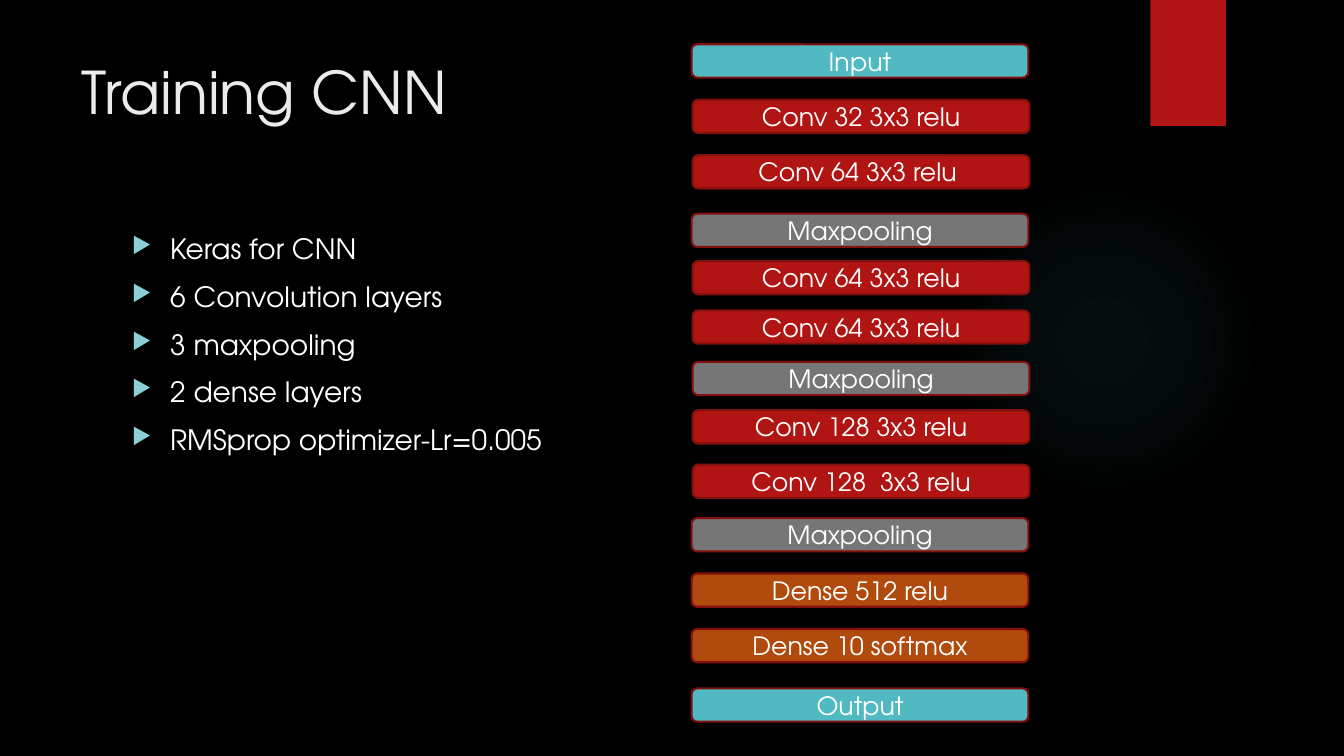
from lxml.etree import SubElement
from pptx import Presentation
from pptx.dml.color import RGBColor
from pptx.enum.shapes import MSO_SHAPE
from pptx.enum.text import MSO_ANCHOR, PP_ALIGN
from pptx.oxml import parse_xml
from pptx.oxml.ns import nsdecls, qn
from pptx.util import Inches, Pt

FONT = "TeX Gyre Adventor"
COLORS = {
    "background": "000000",
    "title": "EBEBEB",
    "text": "FFFFFF",
    "bullet": "8AD0D6",
    "teal": "50B9C1",
    "red": "B01513",
    "gray": "767676",
    "orange": "B04A0D",
    "outline": "82100E",
}
BULLETS = [
    "Keras for CNN",
    "6 Convolution layers",
    "3 maxpooling",
    "2 dense layers",
    "RMSprop optimizer-Lr=0.005",
]
LAYERS = [
    ("Input", "teal", 6.86, 0.44),
    ("Conv 32 3x3 relu", "red", 6.87, 0.99),
    ("Conv 64 3x3 relu ", "red", 6.87, 1.54),
    ("Maxpooling", "gray", 6.86, 2.12),
    ("Conv 64 3x3 relu", "red", 6.87, 2.59),
    ("Conv 64 3x3 relu", "red", 6.87, 3.08),
    ("Maxpooling", "gray", 6.87, 3.59),
    ("Conv 128 3x3 relu", "red", 6.87, 4.07),
    ("Conv 128  3x3 relu", "red", 6.87, 4.61),
    ("Maxpooling", "gray", 6.86, 5.14),
    ("Dense 512 relu", "orange", 6.86, 5.69),
    ("Dense 10 softmax", "orange", 6.86, 6.24),
    ("Output", "teal", 6.86, 6.83),
]
GLOW_STOPS = [(0, 7), (36, 6), (69, 0)]


class SlideBuilder:
    def __init__(self, slide):
        self.s = slide
        fill = slide.background.fill
        fill.solid()
        fill.fore_color.rgb = self.color("background")

    def color(self, name):
        return RGBColor.from_string(COLORS[name])

    def style(self, p, size, color):
        for r in p.runs:
            r.font.name = FONT
            r.font.size = Pt(size)
            r.font.color.rgb = self.color(color)

    def shape(self, kind, x, y, w, h, color):
        sp = self.s.shapes.add_shape(kind, Inches(x), Inches(y), Inches(w), Inches(h))
        sp.shadow.inherit = False
        sp.fill.solid()
        sp.fill.fore_color.rgb = self.color(color)
        sp.line.fill.background()
        return sp

    def glow(self, x, y, size, color):
        sp = self.shape(MSO_SHAPE.OVAL, x, y, size, size, color)
        stops = "".join(
            f'<a:gs pos="{pos * 1000}"><a:srgbClr val="{COLORS[color]}">'
            f'<a:alpha val="{alpha * 1000}"/></a:srgbClr></a:gs>'
            for pos, alpha in GLOW_STOPS
        )
        grad = parse_xml(
            f'<a:gradFill {nsdecls("a")}><a:gsLst>{stops}</a:gsLst><a:path path="circle">'
            '<a:fillToRect l="50000" t="50000" r="50000" b="50000"/></a:path></a:gradFill>'
        )
        spPr = sp.element.spPr
        spPr.replace(spPr.find(qn("a:solidFill")), grad)

    def layer(self, text, color, x, y):
        sp = self.shape(MSO_SHAPE.ROUNDED_RECTANGLE, x, y, 3.34, 0.33, color)
        sp.line.color.rgb = self.color("outline")
        sp.line.width = Pt(1.5)
        tf = sp.text_frame
        tf.text = text
        tf.vertical_anchor = MSO_ANCHOR.MIDDLE
        p = tf.paragraphs[0]
        p.alignment = PP_ALIGN.CENTER
        self.style(p, 18, "text")

    def text(self, text, x, y, w, h, size, color):
        tf = self.s.shapes.add_textbox(Inches(x), Inches(y), Inches(w), Inches(h)).text_frame
        tf.word_wrap = True
        tf.text = text
        for p in tf.paragraphs:
            self.style(p, size, color)
        return tf

    def bullets(self, items, x, y, w, h):
        tf = self.text("\n".join(items), x, y, w, h, 20, "text")
        for p in tf.paragraphs:
            p.space_before = Pt(10)
            pPr = p._p.get_or_add_pPr()
            pPr.set("marL", str(Inches(0.38)))
            pPr.set("indent", str(-Inches(0.38)))
            clr = SubElement(pPr, qn("a:buClr"))
            SubElement(clr, qn("a:srgbClr"), val=COLORS["bullet"])
            SubElement(pPr, qn("a:buSzPct"), val="80000")
            SubElement(pPr, qn("a:buChar"), char="▶")


def main():
    prs = Presentation()
    prs.slide_width = Inches(13.33)
    prs.slide_height = Inches(7.5)
    b = SlideBuilder(prs.slides.add_slide(prs.slide_layouts[6]))
    b.glow(9.41, 1.83, 3.08, "teal")
    b.shape(MSO_SHAPE.RECTANGLE, 11.41, 0, 0.75, 1.25, "red")
    b.text("Training CNN", 0.71, 0.5, 10.29, 1.53, 42, "title")
    b.bullets(BULLETS, 1.21, 2.25, 9.78, 4.59)
    for layer in LAYERS:
        b.layer(*layer)
    prs.save("out.pptx")


if __name__ == "__main__":
    main()
